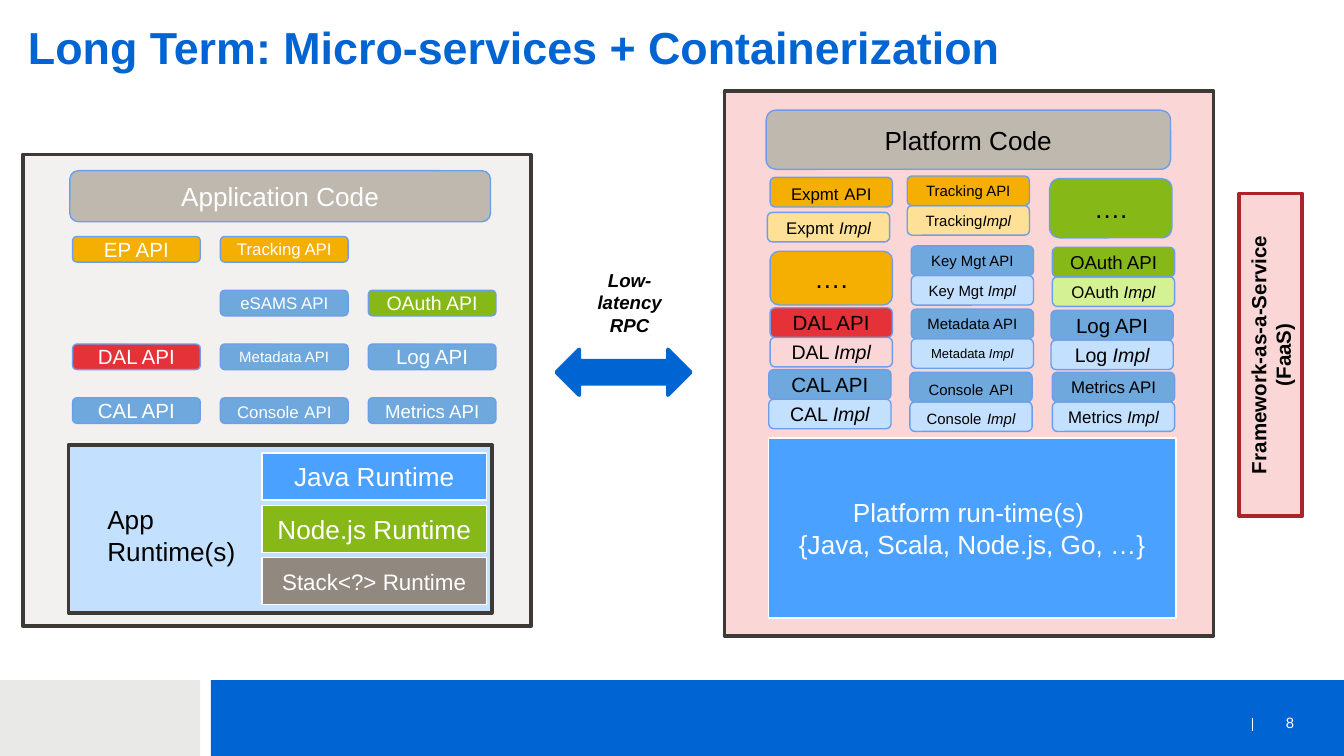
from pptx import Presentation
from pptx.dml.color import RGBColor
from pptx.enum.shapes import MSO_CONNECTOR, MSO_SHAPE as Shape
from pptx.enum.text import MSO_ANCHOR as Anchor, PP_ALIGN as Align
from pptx.util import Inches, Pt
from lxml import etree

SLIDE_WIDTH, SLIDE_HEIGHT = 10, 10 * 9 / 16

WHITE = RGBColor(0xFF, 0xFF, 0xFF)
BLACK = RGBColor(0, 0, 0)
BRAND_BLUE = RGBColor(0x00, 0x64, 0xD2)
FOOTER_GREY = RGBColor(0xE9, 0xE9, 0xE8)
CHARCOAL = RGBColor(0x3D, 0x39, 0x35)
PALE_GREY = RGBColor(0xF2, 0xF1, 0xEF)
TAUPE = RGBColor(0xBF, 0xB8, 0xAF)
DARK_TAUPE = RGBColor(0x91, 0x88, 0x80)
EDGE_BLUE = RGBColor(0x6D, 0x9E, 0xEB)
BLUE = RGBColor(0x6F, 0xA8, 0xDC)
BRIGHT_BLUE = RGBColor(0x4B, 0xA1, 0xFF)
PALE_BLUE = RGBColor(0xC3, 0xE0, 0xFF)
AMBER = RGBColor(0xF5, 0xAF, 0x02)
PALE_AMBER = RGBColor(0xFE, 0xE0, 0x97)
GREEN = RGBColor(0x86, 0xB8, 0x17)
PALE_GREEN = RGBColor(0xD4, 0xF2, 0x93)
RED = RGBColor(0xE5, 0x32, 0x38)
PALE_RED = RGBColor(0xFA, 0xD6, 0xD7)
DARK_RED = RGBColor(0xA9, 0x25, 0x29)


def write(shape, paragraphs, size, color, align=Align.CENTER, anchor=Anchor.MIDDLE,
          bold=False, italic=False, insets=(0.1, 0.05, 0.1, 0.05)):
    """Each paragraph is a list of (text, size or None, italic) runs, or a string."""
    frame = shape.text_frame
    frame.word_wrap = True
    frame.vertical_anchor = anchor
    (frame.margin_left, frame.margin_top,
     frame.margin_right, frame.margin_bottom) = map(Inches, insets)
    for index, content in enumerate(paragraphs):
        paragraph = frame.add_paragraph() if index else frame.paragraphs[0]
        paragraph.alignment = align
        runs = [(content, None, italic)] if isinstance(content, str) else content
        for text, run_size, run_italic in runs:
            run = paragraph.add_run()
            run.text = text
            font = run.font
            font.name, font.size, font.color.rgb = "Arial", Pt(run_size or size), color
            font.bold, font.italic = bold, run_italic


def add_text(slide, box, paragraphs, size, color, **style):
    write(slide.shapes.add_textbox(*map(Inches, box)), paragraphs, size, color, **style)


def add_box(slide, box, fill, line=None, weight=0.75, kind=Shape.RECTANGLE):
    shape = slide.shapes.add_shape(kind, *map(Inches, box))
    shape.shadow.inherit = False
    shape.fill.solid()
    shape.fill.fore_color.rgb = fill
    if line is None:
        shape.line.fill.background()
    else:
        shape.line.color.rgb = line
        shape.line.width = Pt(weight)
    return shape


def add_tile(slide, box, runs, size, fill, color):
    tile = add_box(slide, box, fill, EDGE_BLUE, kind=Shape.ROUNDED_RECTANGLE)
    write(tile, [runs], size, color, insets=(0.05, 0, 0.05, 0))


def label(name, suffix, gap=None):
    """Name and suffix; gap is the size of a space that is set apart."""
    italic = suffix == "Impl"
    if gap:
        return [(name, None, False), (" ", gap, False), (suffix, None, italic)]
    if italic:
        return [(name, None, False), (suffix, None, True)]
    return name.strip() + " " + suffix


def add_footer(slide, left, top, width, height):
    add_box(slide, (left, top, 1.49, height), FOOTER_GREY)
    add_box(slide, (left + 1.57, top, width - 1.57, height), BRAND_BLUE)
    bar = slide.shapes.add_connector(MSO_CONNECTOR.STRAIGHT, *map(
        Inches, (left + 9.32, top + 0.28, left + 9.32, top + 0.38)))
    bar.line.color.rgb = WHITE
    bar.line.width = Pt(1)
    etree.SubElement(
        bar.line._get_or_add_ln().getparent(),
        "{http://schemas.openxmlformats.org/drawingml/2006/main}effectLst")
    add_text(slide, (left + 9.33, top + 0.17, 0.3, 0.21), ["8"], 8, WHITE,
             align=Align.RIGHT, anchor=Anchor.BOTTOM, insets=(0, 0.05, 0, 0))


def add_runtimes(slide, left, top, width, height):
    add_box(slide, (left, top, width, height), PALE_BLUE, CHARCOAL, 2)
    runtimes = [("Java Runtime", 14, BRIGHT_BLUE), ("Node.js Runtime", 14, GREEN),
                ("Stack<?> Runtime", 12, DARK_TAUPE)]
    for row, (name, size, fill) in enumerate(runtimes):
        runtime = add_box(slide, (left + 1.44, top + 0.06 + 0.39 * row, 1.67, 0.35), fill, WHITE)
        write(runtime, [name], size, WHITE)
    add_text(slide, (left + 0.19, top + 0.39, 1.19, 0.57), ["App Runtime(s)"], 14, BLACK,
             align=Align.LEFT, anchor=Anchor.TOP)


def add_application(slide, left, top, width, height):
    add_box(slide, (left, top, width, height), PALE_GREY, CHARCOAL, 2)
    add_tile(slide, (left + 0.35, top + 0.12, 3.13, 0.38), "Application Code", 14, TAUPE, WHITE)
    # API grid: column, row, name, size, fill, gap
    apis = [
        (0, 0, "EP", 11, AMBER, None), (1, 0, "Tracking", 9, AMBER, None),
        (1, 1, "eSAMS", 9, BLUE, None), (2, 1, "OAuth", 10.5, GREEN, None),
        (0, 2, "DAL", 11, RED, None), (1, 2, "Metadata", 8, BLUE, None),
        (2, 2, "Log", 11, BLUE, None), (0, 3, "CAL", 11, BLUE, None),
        (1, 3, "Console", 9, BLUE, 11), (2, 3, "Metrics", 10, BLUE, None),
    ]
    for column, row, name, size, fill, gap in apis:
        place = (left + 0.37 + 1.1 * column, top + 0.61 + 0.4 * row, 0.95, 0.19)
        add_tile(slide, place, label(name, "API", gap), size, fill, WHITE)
    add_runtimes(slide, left + 0.34, top + 2.16, 3.15, 1.25)


def add_platform(slide, left, top, width, height):
    add_box(slide, (left, top, width, height), PALE_RED, CHARCOAL, 2)
    add_tile(slide, (left + 0.31, top + 0.14, 3.01, 0.44), "Platform Code", 14, TAUPE, BLACK)
    runtime = add_box(slide, (left + 0.33, top + 2.58, 3.03, 1.34), BRIGHT_BLUE, WHITE)
    write(runtime, ["Platform run-time(s) ", "{Java, Scala, Node.js, Go, …}"], 14, WHITE)
    # Further services
    add_tile(slide, (left + 0.34, top + 1.19, 0.91, 0.4), "….", 14, AMBER, BLACK)
    add_tile(slide, (left + 2.42, top + 0.65, 0.91, 0.44), "….", 14, GREEN, BLACK)
    # API over implementation: x, y, name, sizes, fills, gaps
    services = [
        (1.36, 0.63, "Tracking", (8, 8), (AMBER, PALE_AMBER), None),
        (1.39, 1.15, "Key Mgt ", (8, 8), (BLUE, PALE_BLUE), None),
        (2.44, 1.16, "OAuth ", (10, 9), (GREEN, PALE_GREEN), None),
        (0.34, 1.61, "DAL ", (11, 10.5), (RED, PALE_RED), None),
        (1.39, 1.62, "Metadata ", (8, 7), (BLUE, PALE_BLUE), None),
        (2.43, 1.63, "Log ", (11, 10.5), (BLUE, PALE_BLUE), None),
        (0.33, 2.07, "CAL ", (11, 10.5), (BLUE, PALE_BLUE), None),
        (1.38, 2.09, "Console", (8, 8), (BLUE, PALE_BLUE), (11, 10.5)),
        (2.44, 2.09, "Metrics ", (9, 9), (BLUE, PALE_BLUE), None),
        (0.34, 0.64, "Expmt", (9, 9), (AMBER, PALE_AMBER), (11, 10.5)),
    ]
    for x, y, name, sizes, fills, gaps in services:
        shift, drop = (-0.02, 0.26) if name == "Expmt" else (0, 0.22)
        for part, suffix in ((1, "Impl"), (0, "API")):
            place = (left + x + shift * part, top + y + drop * part, 0.91, 0.22)
            add_tile(slide, place, label(name, suffix, gaps and gaps[part]),
                     sizes[part], fills[part], BLACK)


def add_rpc_link(slide, left, top, width, height):
    add_box(slide, (left, top + 0.65, width, height - 0.65), BRAND_BLUE, BRAND_BLUE, 2,
            Shape.LEFT_RIGHT_ARROW)
    add_text(slide, (left + 0.18, top, 0.73, 0.61), ["Low-latency RPC"], 10, BLACK,
             anchor=Anchor.TOP, bold=True, italic=True)


def add_faas_banner(slide, left, top, width, height):
    # Laid out flat around the same centre, then turned upright
    flat = (left + (width - height) / 2, top + (height - width) / 2, height, width)
    banner = add_box(slide, flat, PALE_RED, DARK_RED, 2)
    banner.rotation = 270
    write(banner, ["Framework-as-a-Service (FaaS)"], 11, BLACK, anchor=Anchor.TOP, bold=True)


def main():
    deck = Presentation()
    deck.slide_width, deck.slide_height = Inches(SLIDE_WIDTH), Inches(SLIDE_HEIGHT)
    slide = deck.slides.add_slide(deck.slide_layouts[6])
    add_footer(slide, 0, 5.06, SLIDE_WIDTH, SLIDE_HEIGHT - 5.06)
    add_text(slide, (0.11, 0.02, 9.65, 0.66), ["Long Term: Micro-services + Containerization"],
             24, BRAND_BLUE, align=Align.LEFT, bold=True)
    add_application(slide, 0.17, 1.15, 3.78, 3.51)
    add_platform(slide, 5.39, 0.68, 3.64, 4.05)
    add_rpc_link(slide, 4.14, 1.95, 1, 0.99)
    add_faas_banner(slide, 9.22, 1.44, 0.47, 2.4)
    deck.save("out.pptx")


if __name__ == "__main__":
    main()
